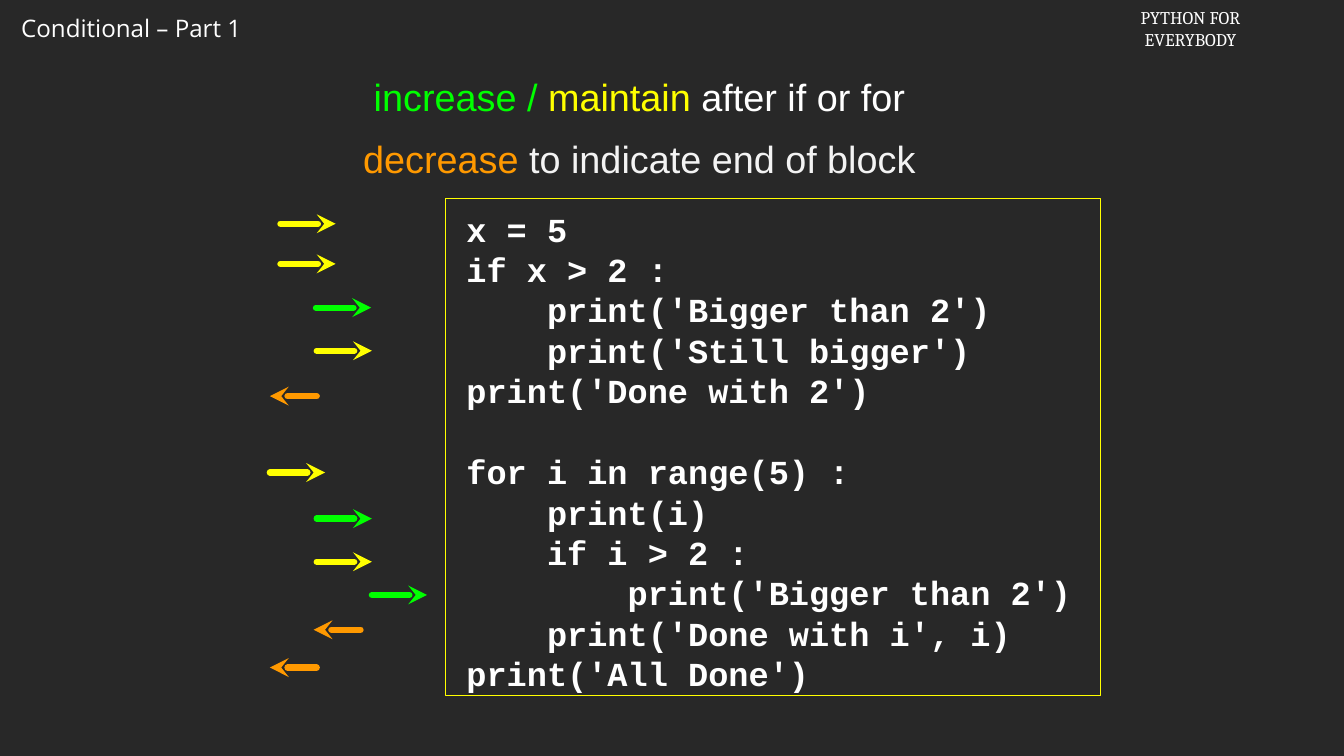
from lxml import etree
from pptx import Presentation
from pptx.dml.color import RGBColor
from pptx.enum.shapes import MSO_CONNECTOR, MSO_SHAPE
from pptx.enum.text import MSO_ANCHOR, PP_ALIGN
from pptx.oxml.ns import qn
from pptx.util import Inches, Pt

STRAIGHT = MSO_CONNECTOR.STRAIGHT
RECTANGLE = MSO_SHAPE.RECTANGLE
MIDDLE = MSO_ANCHOR.MIDDLE
LEFT, CENTER = PP_ALIGN.LEFT, PP_ALIGN.CENTER

BACKGROUND = RGBColor(0x28, 0x28, 0x28)
WHITE = RGBColor(0xFF, 0xFF, 0xFF)
OFF_WHITE = RGBColor(0xF3, 0xF3, 0xF3)
GREEN = RGBColor(0x00, 0xFF, 0x00)
YELLOW = RGBColor(0xFF, 0xFF, 0x00)
ORANGE = RGBColor(0xFF, 0x99, 0x00)

CODE = """x = 5
if x > 2 :
    print('Bigger than 2')
    print('Still bigger')
print('Done with 2')

for i in range(5) :
    print(i)
    if i > 2 :
        print('Bigger than 2')
    print('Done with i', i)
print('All Done')"""

RULES = [
    [("increase / ", GREEN), ("maintain ", YELLOW), ("after if or for", WHITE)],
    [("decrease ", ORANGE), ("to indicate end of block", OFF_WHITE)],
]

# Left edge and height of each arrow within its region, and its meaning
INDENT_ARROWS = [
    (0.14, 0.33, YELLOW),
    (0.14, 0.86, YELLOW),
    (0.61, 1.44, GREEN),
    (0.62, 2.01, YELLOW),
    (0, 2.61, ORANGE),
    (0, 3.62, YELLOW),
    (0.62, 4.23, GREEN),
    (0.62, 4.8, YELLOW),
    (1.35, 5.24, GREEN),
    (0.58, 5.7, ORANGE),
    (0, 6.2, ORANGE),
]


def format_font(font, name, size, color=WHITE, bold=False):
    font.name = name
    font.size = Pt(size)
    font.color.rgb = color
    font.bold = bold


def place(shape, left, top, width, height):
    shape.left, shape.top = Inches(left), Inches(top)
    shape.width, shape.height = Inches(width), Inches(height)


def clear_margins(text_frame):
    text_frame.margin_left = text_frame.margin_right = 0
    text_frame.margin_top = text_frame.margin_bottom = 0


def add_title(slide, left, top, width, height):
    title = slide.shapes.title
    place(title, left, top, width, height)
    text_frame = title.text_frame
    text_frame.text = "Conditional – Part 1"
    text_frame.word_wrap = False
    text_frame.vertical_anchor = MIDDLE
    paragraph = text_frame.paragraphs[0]
    paragraph.alignment = LEFT
    format_font(paragraph.runs[0].font, "Open Sans", 23)


def add_course_name(slide, left, top, width, height):
    box = slide.shapes.add_textbox(*map(Inches, (left, top, width, height)))
    box.text_frame.text = "PYTHON FOR\nEVERYBODY"
    box.text_frame.word_wrap = False
    for paragraph in box.text_frame.paragraphs:
        paragraph.alignment = CENTER
        format_font(paragraph.runs[0].font, "Cambria", 17)


def add_rules(slide, left, top, width, height):
    box = slide.shapes.add_textbox(*map(Inches, (left, top, width, height)))
    text_frame = box.text_frame
    text_frame.word_wrap = True
    clear_margins(text_frame)
    for index, parts in enumerate(RULES):
        paragraph = text_frame.add_paragraph() if index else text_frame.paragraphs[0]
        paragraph.alignment = CENTER
        paragraph.space_before = Pt(15.6 if index else 0)
        for text, color in parts:
            run = paragraph.add_run()
            run.text = text
            format_font(run.font, "Arial", 36, color)


def add_code(slide, left, top, width, height):
    box = slide.shapes.add_shape(RECTANGLE, *map(Inches, (left, top, width, height)))
    box.shadow.inherit = False
    box.fill.background()
    box.line.color.rgb = YELLOW
    box.line.width = Pt(1)
    text_frame = box.text_frame
    text_frame.text = CODE
    text_frame.word_wrap = True
    text_frame.vertical_anchor = MIDDLE
    clear_margins(text_frame)
    text_frame.margin_left = Inches(0.27)
    text_frame.margin_top = Inches(0.1)
    for paragraph in text_frame.paragraphs:
        paragraph.alignment = LEFT
        paragraph.line_spacing = Pt(38.5)
        format_font(paragraph.font, "Courier New", 32)
        for run in paragraph.runs:
            format_font(run.font, "Courier New", 32, bold=True)


def add_arrow(slide, start, end, y, color):
    arrow = slide.shapes.add_connector(STRAIGHT, *map(Inches, (start, y, end, y)))
    arrow.line.color.rgb = color
    arrow.line.width = Pt(6)
    line = arrow.line._get_or_add_ln()
    line.set("cap", "rnd")
    etree.SubElement(line, qn("a:round"))
    etree.SubElement(line, qn("a:tailEnd"), type="stealth")
    etree.SubElement(arrow._element.spPr, qn("a:effectLst"))


def add_indent_arrows(slide, left, top):
    """Point right to increase or maintain the indent, left to decrease it."""
    for offset, y, color in INDENT_ARROWS:
        start = left + offset
        if color == ORANGE:
            add_arrow(slide, start + 0.62, start, top + y, color)
        else:
            add_arrow(slide, start, start + 0.73, top + y, color)


def main():
    presentation = Presentation()
    presentation.slide_width = Inches(17.78)
    presentation.slide_height = Inches(10)
    slide = presentation.slides.add_slide(presentation.slide_layouts[5])
    slide.background.fill.solid()
    slide.background.fill.fore_color.rgb = BACKGROUND
    add_title(slide, 0.18, 0.12, 3.28, 0.49)
    add_course_name(slide, 14.88, 0.04, 1.74, 0.67)
    add_code(slide, 5.9, 2.63, 8.66, 6.57)
    add_rules(slide, 4.53, 0.98, 7.86, 1.37)
    add_indent_arrows(slide, 3.57, 2.63)
    presentation.save("out.pptx")


if __name__ == "__main__":
    main()
